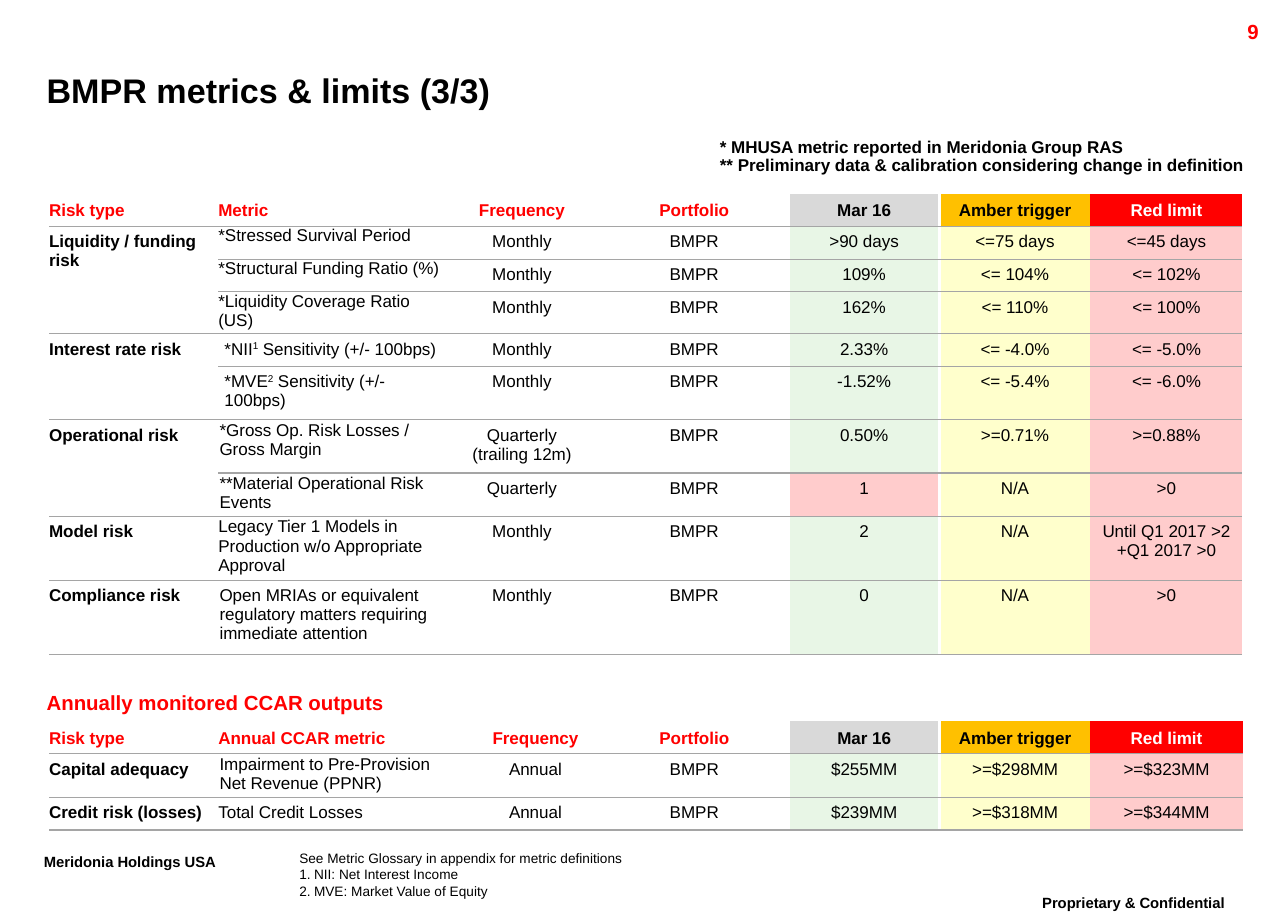
from itertools import accumulate
from typing import NamedTuple, Optional

from lxml import etree
from pptx import Presentation
from pptx import util as u
from pptx.dml.color import RGBColor
from pptx.enum import text
from pptx.oxml import ns

BLACK = RGBColor(0x00, 0x00, 0x00)
WHITE = RGBColor(0xFF, 0xFF, 0xFF)
RED = RGBColor(0xFF, 0x00, 0x00)
AMBER = RGBColor(0xFF, 0xC0, 0x00)
GREY = RGBColor(0xD9, 0xD9, 0xD9)
RULE = RGBColor(0xA5, 0xA5, 0xA5)
PALE_GREEN = RGBColor(0xE8, 0xF6, 0xE6)
PALE_AMBER = RGBColor(0xFF, 0xFF, 0xCC)
PALE_RED = RGBColor(0xFF, 0xCC, 0xCC)

FONT = "Arial"
TIGHT = 0.86
PORTFOLIO = "BMPR"
NO_STYLE = "{2D5ABB26-0587-4C30-8999-92F81FD0307C}"
LEFT, CENTER, RIGHT = text.PP_ALIGN.LEFT, text.PP_ALIGN.CENTER, text.PP_ALIGN.RIGHT

deck = Presentation()
deck.slide_width, deck.slide_height = u.Inches(10.5), u.Inches(7.5)
slide = deck.slides.add_slide(deck.slide_layouts[6])

# The slide is a grid of 105 columns by 75 rows
UNIT = deck.slide_width // 105


def grid(count: float) -> u.Emu:
    return u.Emu(round(count * UNIT))


class Label(NamedTuple):
    lines: list[str]
    box: tuple[float, float, float, float]
    size: float
    color: RGBColor = BLACK
    bold: bool = True
    align: text.PP_ALIGN = LEFT
    spacing: float = 1.0
    padded: bool = True
    wrap: bool = True
    raised: bool = False
    anchor: text.MSO_ANCHOR = text.MSO_ANCHOR.TOP


class Metric(NamedTuple):
    risk: str  # an empty risk continues the one above
    name: str  # text between carets is superscript
    frequency: str
    value: str
    amber: str
    red: str
    height: float
    indent: float = 0
    padding: float = 0
    breached: bool = False


class Limits(NamedTuple):
    top: float
    columns: list[float]
    metric_heading: str
    metrics: list[Metric]


def style(paragraph, size: float, color: RGBColor, bold: bool, align: text.PP_ALIGN,
          spacing: float = 1.0) -> None:
    font = paragraph.font
    font.name, font.size, font.bold = FONT, u.Pt(size), bold
    font.color.rgb = color
    paragraph.alignment = align
    paragraph.line_spacing = spacing


def raise_run(run) -> None:
    run.font._element.set("baseline", "30000")


def add_label(label: Label):
    frame = slide.shapes.add_textbox(*map(grid, label.box)).text_frame
    frame.word_wrap, frame.vertical_anchor = label.wrap, label.anchor
    if not label.padded:
        frame.margin_left = frame.margin_right = frame.margin_top = frame.margin_bottom = 0
    frame.text = "\n".join(label.lines)
    for paragraph in frame.paragraphs:
        style(paragraph, label.size, label.color, label.bold, label.align, label.spacing)
        if label.raised:
            raise_run(paragraph.runs[0])
    return frame


def number(paragraph) -> None:
    properties = paragraph._p.get_or_add_pPr()
    hanging = grid(1.2)
    properties.set("marL", str(hanging))
    properties.set("indent", str(-hanging))
    etree.SubElement(properties, ns.qn("a:buFont")).set("typeface", FONT)
    etree.SubElement(properties, ns.qn("a:buAutoNum")).set("type", "arabicPeriod")


def set_borders(cell, edges: dict[str, tuple[RGBColor, float]]) -> None:
    """Draw the given edges, keyed in schema order L, R, T, B."""
    properties = cell._tc.get_or_add_tcPr()
    for index, (edge, (color, width)) in enumerate(edges.items()):
        line = etree.Element(ns.qn(f"a:ln{edge}"), w=str(u.Pt(width)))
        fill = etree.SubElement(line, ns.qn("a:solidFill"))
        etree.SubElement(fill, ns.qn("a:srgbClr"), val=str(color))
        properties.insert(index, line)


def fill_cell(cell, content: str, color: RGBColor = BLACK, bold: bool = False,
              align: text.PP_ALIGN = CENTER, fill: Optional[RGBColor] = None,
              indent: float = 0.5, padding: float = 0.5, heading: bool = False) -> None:
    cell.margin_left = grid(indent)
    cell.margin_right = cell.margin_top = cell.margin_bottom = grid(padding)
    cell.vertical_anchor = text.MSO_ANCHOR.BOTTOM if heading else text.MSO_ANCHOR.TOP
    if fill is None:
        cell.fill.background()
    else:
        cell.fill.solid()
        cell.fill.fore_color.rgb = fill
    frame = cell.text_frame
    if "^" in content:
        for index, part in enumerate(content.split("^")):
            run = frame.paragraphs[0].add_run()
            run.text = part
            if index % 2:
                raise_run(run)
    else:
        frame.text = content
    for paragraph in frame.paragraphs:
        style(paragraph, 10, color, bold, align, TIGHT if heading else 1.0)


def add_limits(limits: Limits) -> None:
    metrics = limits.metrics
    heights = [2.65] + [metric.height for metric in metrics]
    table = slide.shapes.add_table(
        len(heights), len(limits.columns), grid(4), grid(limits.top),
        grid(sum(limits.columns)), grid(sum(heights))).table
    table.first_row = table.horz_banding = False
    table._tbl.tblPr.find(ns.qn("a:tableStyleId")).text = NO_STYLE
    for column, width in zip(table.columns, limits.columns):
        column.width = grid(width)
    for row, height in zip(table.rows, heights):
        row.height = grid(height)

    # Headings
    headings = [("Risk type", RED, None), (limits.metric_heading, RED, None),
                ("Frequency", RED, None), ("Portfolio", RED, None),
                ("Mar 16", BLACK, GREY), ("Amber trigger", BLACK, AMBER),
                ("Red limit", WHITE, RED)]
    for column, (heading, color, fill) in enumerate(headings):
        first = column < 2
        fill_cell(table.cell(0, column), heading, color, True, LEFT if first else CENTER,
                  fill, 0 if first else 0.5, heading=True)

    # Metrics
    for row, metric in enumerate(metrics, 1):
        fill_cell(table.cell(row, 0), metric.risk, bold=True, align=LEFT, indent=0)
        fill_cell(table.cell(row, 1), metric.name, align=LEFT,
                  indent=metric.indent, padding=metric.padding)
        readings = [(metric.frequency, None), (PORTFOLIO, None),
                    (metric.value, PALE_RED if metric.breached else PALE_GREEN),
                    (metric.amber, PALE_AMBER), (metric.red, PALE_RED)]
        for column, (reading, fill) in enumerate(readings, 2):
            fill_cell(table.cell(row, column), reading, fill=fill)

    # Rules between rows, and one merged cell for each risk
    starts = [row for row, metric in enumerate(metrics, 1) if metric.risk]
    ends = [start - 1 for start in starts[1:]] + [len(metrics)]
    for row in range(len(heights)):
        for column in range(len(headings)):
            edges = {}
            if column == 4:
                edges["L"] = WHITE, 1.5
            if column == 3:
                edges["R"] = WHITE, 1.5
            if row and (column or row in starts):
                edges["T"] = RULE, 0.75
            if column or row == 0 or row in starts + ends:
                edges["B"] = RULE, 0.75
            set_borders(table.cell(row, column), edges)
    for start, end in zip(starts, ends):
        if end > start:
            table.cell(start, 0).merge(table.cell(end, 0))


# Title, page number and footers
for label in [
    Label(["9"], (93.6, 1.1, 10, 2.4), 12, RED, align=RIGHT),
    Label(["BMPR metrics & limits (3/3)"], (3.8, 4.9, 94.8, 4.8), 20, padded=False,
          anchor=text.MSO_ANCHOR.MIDDLE),
    Label(["* MHUSA metric reported in Meridonia Group RAS",
           "** Preliminary data & calibration considering change in definition"],
          (57.7, 10.9, 45.1, 3.9), 10, spacing=TIGHT, wrap=False),
    Label(["Annually monitored CCAR outputs"], (3.8, 56.3, 27.8, 2), 12, RED,
          padded=False, wrap=False),
    Label(["Meridonia Holdings USA"], (2.6, 69.1, 19.1, 3.5), 15, spacing=TIGHT,
          wrap=False, raised=True),
    Label(["Proprietary & Confidential"], (81.5, 72.5, 21.8, 3.5), 15, align=CENTER,
          spacing=TIGHT, raised=True),
]:
    add_label(label)

# Glossary notes
glossary = add_label(Label(
    ["See Metric Glossary in appendix for metric definitions",
     "NII: Net Interest Income", "MVE: Market Value of Equity"],
    (24.4, 69.3, 54.7, 4), 8, bold=False, padded=False))
for note in glossary.paragraphs[1:]:
    number(note)

# Metrics and limits
add_limits(Limits(15.8, [13.8, 18.4, 12.7, 15.4, 12.3, 12.3, 12.4], "Metric", [
    Metric("Liquidity / funding risk", "*Stressed Survival Period", "Monthly",
           ">90 days", "<=75 days", "<=45 days", 2.65),
    Metric("", "*Structural Funding Ratio (%)", "Monthly", "109%", "<= 104%", "<= 102%", 2.65),
    Metric("", "*Liquidity Coverage Ratio (US)", "Monthly", "162%", "<= 110%", "<= 100%", 3.4),
    Metric("Interest rate risk", "*NII^1^ Sensitivity (+/- 100bps)", "Monthly",
           "2.33%", "<= -4.0%", "<= -5.0%", 2.65, 0.5, 0.5),
    Metric("", "*MVE^2^ Sensitivity (+/- 100bps)", "Monthly",
           "-1.52%", "<= -5.4%", "<= -6.0%", 4.35, 0.5, 0.5),
    Metric("Operational risk", "*Gross Op. Risk Losses / Gross Margin",
           "Quarterly\n(trailing 12m)", "0.50%", ">=0.71%", ">=0.88%", 4.35, 0.1, 0.1),
    Metric("", "**Material Operational Risk Events", "Quarterly",
           "1", "N/A", ">0", 3.4, 0.1, 0.1, breached=True),
    Metric("Model risk", "Legacy Tier 1 Models in Production w/o Appropriate Approval",
           "Monthly", "2", "N/A", "Until Q1 2017 >2\n+Q1 2017 >0", 5.15, 0, 0.1),
    Metric("Compliance risk",
           "Open MRIAs or equivalent regulatory matters requiring immediate attention",
           "Monthly", "0", "N/A", ">0", 6.05, 0.1, 0.5),
]))

# Annual outputs
add_limits(Limits(58.8, [13.8, 20.6, 10.5, 15.4, 12.3, 12.3, 12.4], "Annual CCAR metric", [
    Metric("Capital adequacy", "Impairment to Pre-Provision\vNet Revenue (PPNR)", "Annual",
           "$255MM", ">=$298MM", ">=$323MM", 3.4, 0.1, 0.1),
    Metric("Credit risk (losses)", "Total Credit Losses", "Annual",
           "$239MM", ">=$318MM", ">=$344MM", 2.65, 0, 0.5),
]))

deck.save("out.pptx")
